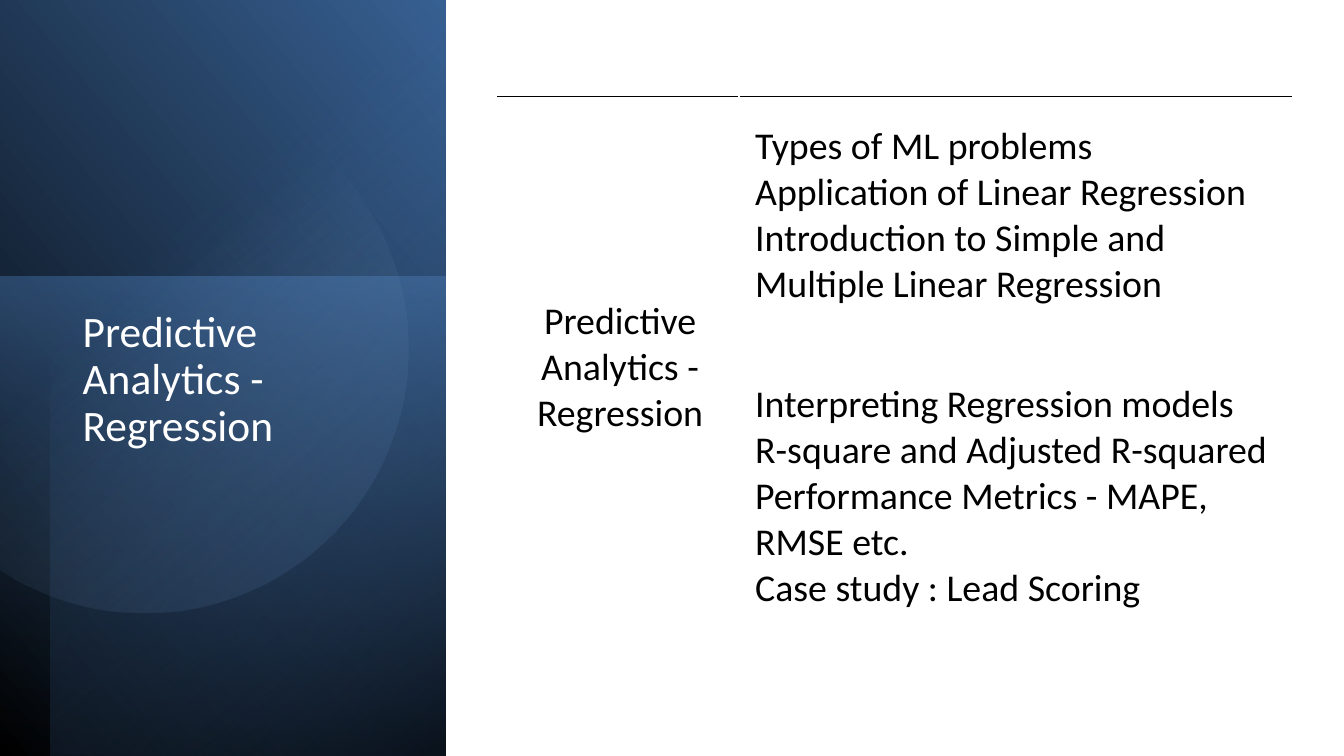
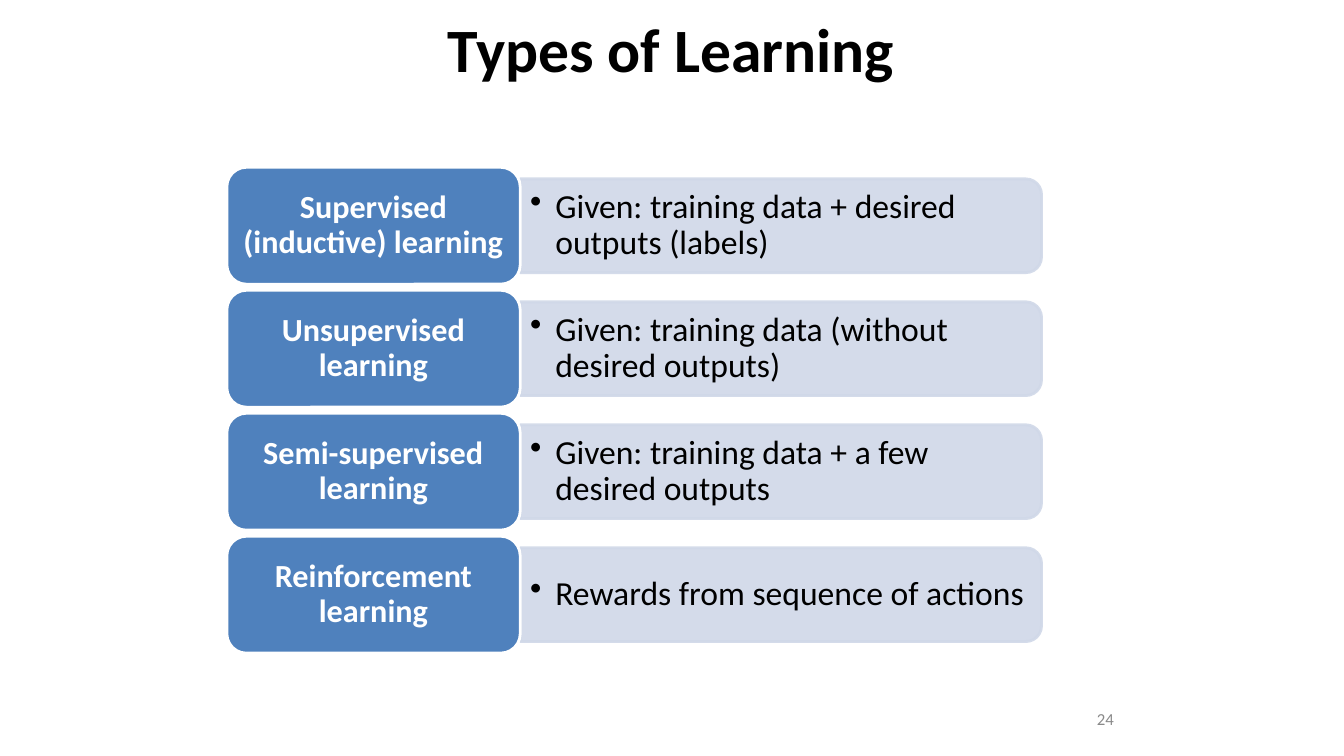
import math
from dataclasses import dataclass

from lxml import etree
from pptx import Presentation
from pptx.dml.color import RGBColor
from pptx.enum.shapes import MSO_SHAPE
from pptx.enum.text import MSO_ANCHOR, MSO_AUTO_SIZE, PP_ALIGN
from pptx.oxml.ns import qn
from pptx.util import Inches, Pt

RECTANGLE = MSO_SHAPE.RECTANGLE
ROUNDED = MSO_SHAPE.ROUNDED_RECTANGLE
ROUNDED_TOP = MSO_SHAPE.ROUND_2_SAME_RECTANGLE
TOP, MIDDLE = MSO_ANCHOR.TOP, MSO_ANCHOR.MIDDLE
LEFT, CENTER = PP_ALIGN.LEFT, PP_ALIGN.CENTER
NO_AUTOFIT = MSO_AUTO_SIZE.NONE
TITLE_ONLY = 5


@dataclass(frozen=True)
class Theme:
    font: str = "Calibri"
    black: str = "000000"
    white: str = "FFFFFF"
    grey: str = "898989"
    blue: str = "4F81BD"
    mid_blue: str = "376092"
    deep_blue: str = "254061"
    soft_blue: str = "95B3D7"
    pale_blue: str = "D0D8E8"
    heading: int = 44
    panel_title: int = 31
    agenda: int = 27
    detail: int = 24
    label: int = 23
    number: int = 12


THEME = Theme()
PANEL_WIDTH, SLIDE_WIDTH, SLIDE_HEIGHT = 4.42, 13.33, 7.5

TOPIC = "Predictive Analytics - Regression"
AGENDA = [
    ["Types of ML problems",
     "Application of Linear Regression",
     "Introduction to Simple and Multiple Linear Regression"],
    ["Interpreting Regression models",
     "R-square and Adjusted R-squared",
     "Performance Metrics - MAPE, RMSE etc.",
     "Case study : Lead Scoring"],
]
LEARNING_TYPES = [
    ("Supervised (inductive) learning",
     "Given: training data + desired outputs (labels)"),
    ("Unsupervised learning",
     "Given: training data (without desired outputs)"),
    ("Semi-supervised learning",
     "Given: training data + a few desired outputs"),
    ("Reinforcement learning", "Rewards from sequence of actions"),
]


def inches(*lengths):
    return [Inches(length) for length in lengths]


def rgb(color):
    return RGBColor.from_string(color)


def write(frame, lines, size, color, bold=False, align=LEFT, spacing=None,
          before=None):
    """Fill a text frame with one paragraph per line, all in one style."""
    frame.text = "\n".join(lines)
    for paragraph in frame.paragraphs:
        paragraph.alignment = align
        paragraph.line_spacing = spacing
        paragraph.space_before = before
        font = paragraph.font
        font.name, font.size, font.bold = THEME.font, Pt(size), bold
        font.color.rgb = rgb(color)


def set_margins(holder, left, top, right, bottom):
    """Set the insets of a text frame or a table cell."""
    holder.margin_left, holder.margin_top = inches(left, top)
    holder.margin_right, holder.margin_bottom = inches(right, bottom)


def set_opacity(shape, *percents):
    """Give the shape's colours, in document order, their opacities."""
    colors = list(shape.element.iter(qn("a:srgbClr")))
    for color, percent in zip(colors, percents):
        etree.SubElement(color, qn("a:alpha"), val=str(percent * 1000))


def fill_gradient(shape, angle, *stops):
    """Fill with two (position, colour, opacity) stops; angle is clockwise."""
    shape.shadow.inherit = False
    shape.line.fill.background()
    shape.fill.gradient()
    shape.fill.gradient_angle = 360 - angle
    for stop, (position, color, _) in zip(shape.fill.gradient_stops, stops):
        stop.position = position
        stop.color.rgb = rgb(color)
    set_opacity(shape, *(opacity for _, _, opacity in stops))


def add_solid(slide, preset, box, fill, line):
    shape = slide.shapes.add_shape(preset, *inches(*box))
    shape.shadow.inherit = False
    shape.fill.solid()
    shape.fill.fore_color.rgb = rgb(fill)
    shape.line.color.rgb = rgb(line)
    shape.line.width = Pt(2)
    return shape


def add_text(slide, box, lines, size, color, **style):
    text_box = slide.shapes.add_textbox(*inches(*box))
    text_box.text_frame.word_wrap = True
    write(text_box.text_frame, lines, size, color, **style)
    return text_box


def place_title(slide, box, text, size, color, **style):
    """Position the title and bring it in front of the other shapes."""
    title = slide.shapes.title
    title.left, title.top, title.width, title.height = inches(*box)
    frame = title.text_frame
    frame.auto_size = NO_AUTOFIT
    frame.vertical_anchor = TOP
    write(frame, [text], size, color, **style)
    title.element.getparent().append(title.element)
    return frame


def add_disc(slide, center_x, center_y, radius, points=120):
    """Draw a disc cut off by the left edge of the slide."""
    reach = math.acos(-center_x / radius)
    angles = [reach * (2 * i / points - 1) for i in range(points + 1)]
    outline = [(Inches(center_x + radius * math.cos(a)),
                Inches(center_y + radius * math.sin(a))) for a in angles]
    builder = slide.shapes.build_freeform(*outline[0])
    builder.add_line_segments(outline[1:], close=True)
    return builder.convert_to_shape()


def add_panel(slide):
    layers = [
        (0, 0, 320, (0, THEME.black, 100), (1, THEME.mid_blue, 100)),
        (0, 2.74, 100, (0, THEME.blue, 50), (1, THEME.deep_blue, 0)),
        (0.5, 0, 230, (0, THEME.black, 59), (0.69, THEME.blue, 0)),
    ]
    for left, top, angle, *stops in layers:
        layer = slide.shapes.add_shape(RECTANGLE, *inches(
            left, top, PANEL_WIDTH - left, SLIDE_HEIGHT - top))
        fill_gradient(layer, angle, *stops)
    fill_gradient(add_disc(slide, 1.43, 3.46, 2.62), 50,
                  (0.39, THEME.soft_blue, 0), (1, THEME.mid_blue, 26))


def add_top_border(cell_element):
    border = etree.Element(qn("a:lnT"), w=str(Pt(1)))
    fill = etree.SubElement(border, qn("a:solidFill"))
    etree.SubElement(fill, qn("a:srgbClr"), val=THEME.black)
    cell_element.get_or_add_tcPr().insert(0, border)


def add_agenda(slide):
    widths, heights = (2.41, 5.49), (2.57, 3.02)
    frame = slide.shapes.add_table(
        len(heights), len(widths),
        *inches(4.92, 0.96, sum(widths), sum(heights)))
    table = frame.table
    table.first_row = table.horz_banding = False
    for column, width in zip(table.columns, widths):
        column.width = Inches(width)
    for row, height in zip(table.rows, heights):
        row.height = Inches(height)
    for cell in table.iter_cells():
        cell.fill.background()
        cell.vertical_anchor = MIDDLE
        set_margins(cell, 0.16, 0, 0.11, 0.22)
    topic = table.cell(0, 0)
    topic.merge(table.cell(1, 0))
    write(topic.text_frame, [TOPIC], THEME.agenda, THEME.black, align=CENTER)
    for row, lines in enumerate(AGENDA):
        write(table.cell(row, 1).text_frame, lines, THEME.agenda, THEME.black)
    for cell_element in list(frame.element.iter(qn("a:tc")))[:len(widths)]:
        add_top_border(cell_element)


def add_bullets(text_box, indent):
    for properties in text_box.element.iter(qn("a:pPr")):
        properties.set("marL", str(Inches(indent)))
        properties.set("indent", str(-Inches(indent)))
        etree.SubElement(properties, qn("a:buChar"), char="•")


def add_learning_type(slide, top, name, detail):
    """Draw a label block with its description bar on the right."""
    left, label_width, label_height = 2.25, 2.91, 1.16
    bar_width, bar_height, text_height = 5.17, 0.93, 0.84
    bar_left = left + label_width
    middle = top + label_height / 2

    # The bar stands upright before its quarter turn.
    bar = add_solid(slide, ROUNDED_TOP,
                    (bar_left + (bar_width - bar_height) / 2,
                     middle - bar_width / 2, bar_height, bar_width),
                    THEME.pale_blue, THEME.pale_blue)
    bar.rotation = 90
    set_opacity(bar, 90, 90)

    description = add_text(
        slide, (bar_left, middle - text_height / 2, 5.12, text_height),
        [detail], THEME.detail, THEME.black, spacing=0.9)
    description.text_frame.vertical_anchor = MIDDLE
    add_bullets(description, 0.25)

    label = add_solid(slide, ROUNDED, (left, top, label_width, label_height),
                      THEME.blue, THEME.white)
    frame = label.text_frame
    frame.word_wrap = True
    frame.vertical_anchor = MIDDLE
    # Small insets: the rounded corners already narrow the text area.
    set_margins(frame, 0.1, 0.05, 0.1, 0.05)
    write(frame, [name], THEME.label, THEME.white, bold=True, align=CENTER,
          spacing=0.9)


def build_agenda_slide(slide):
    add_panel(slide)
    add_agenda(slide)
    place_title(slide, (0.72, 3.03, 3.15, 3.36), TOPIC, THEME.panel_title,
                THEME.white, spacing=0.9)


def build_learning_slide(slide):
    heading = place_title(slide, (4.44, 0.1, 4.46, 0.76), "Types of Learning",
                          THEME.heading, THEME.black, bold=True, before=Pt(1))
    heading.word_wrap = False
    set_margins(heading, 0, 0.01, 0, 0)
    for index, (name, detail) in enumerate(LEARNING_TYPES):
        add_learning_type(slide, 1.66 + 1.22 * index, name, detail)
    number = add_text(slide, (10.88, 7.02, 0.2, 0.22), ["24"], THEME.number,
                      THEME.grey, before=Pt(1))
    number.text_frame.word_wrap = False
    set_margins(number.text_frame, 0, 0.01, 0, 0)


def main():
    deck = Presentation()
    deck.slide_width, deck.slide_height = inches(SLIDE_WIDTH, SLIDE_HEIGHT)
    for build in (build_agenda_slide, build_learning_slide):
        build(deck.slides.add_slide(deck.slide_layouts[TITLE_ONLY]))
    deck.save("out.pptx")


if __name__ == "__main__":
    main()
